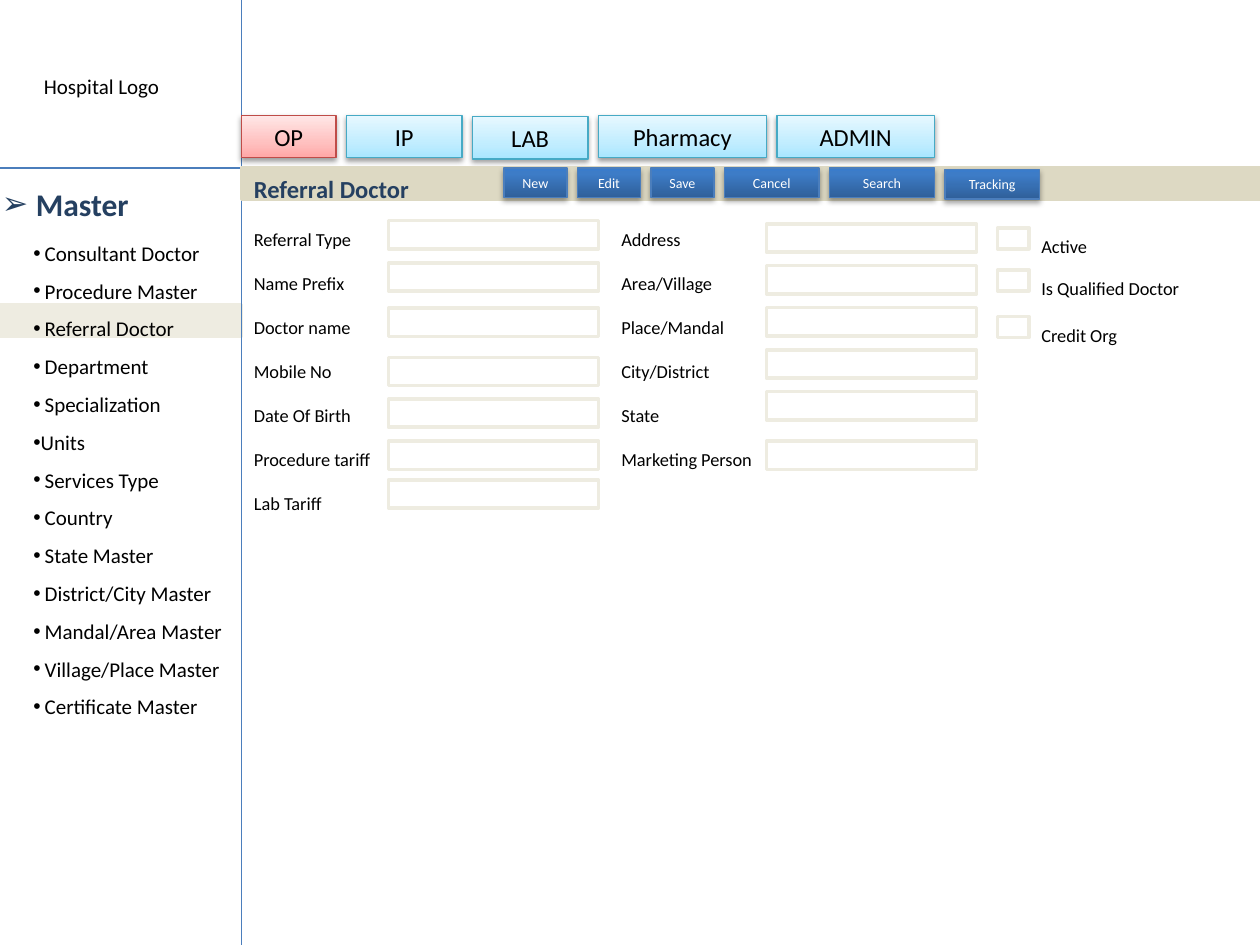
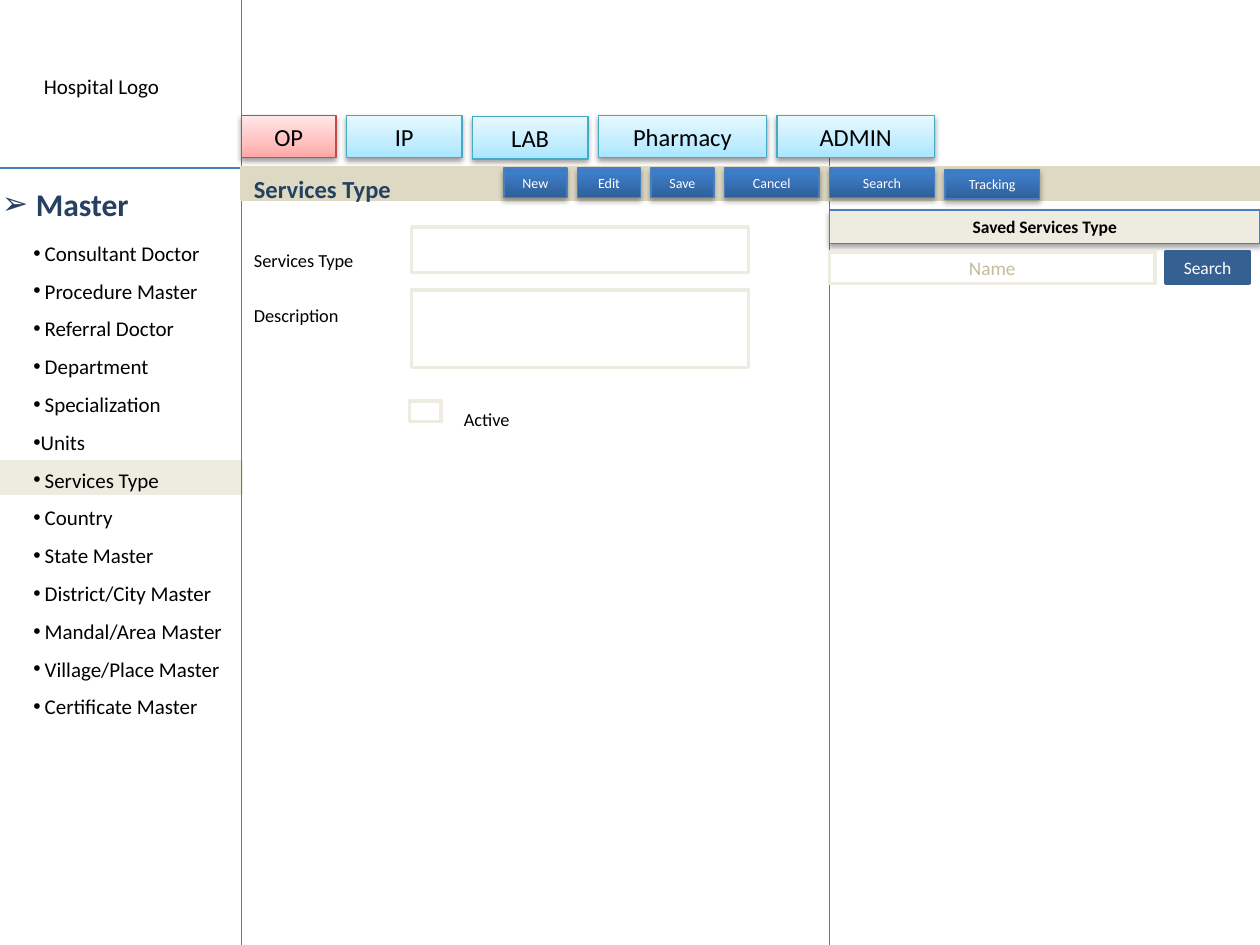
from dataclasses import dataclass
from lxml.etree import SubElement
from pptx import Presentation
from pptx.dml.color import RGBColor as RGB
from pptx.enum.shapes import MSO_CONNECTOR as Connector, MSO_SHAPE as Shape
from pptx.enum.text import MSO_ANCHOR as Anchor, MSO_AUTO_SIZE as AutoSize, PP_ALIGN as Align
from pptx.oxml.ns import qn
from pptx.util import Inches, Pt


@dataclass(frozen=True)
class Theme:
    font: str = "Calibri"
    black: str = "000000"
    white: str = "FFFFFF"
    navy: str = "254061"
    blue: str = "4B7EBC"
    deep_blue: str = "376092"
    cream: str = "EEECE1"
    sand: str = "DDD9C3"
    khaki: str = "C4BD97"
    red_edge: str = "BF4C48"
    aqua_edge: str = "46AAC5"
    red_blend: tuple = ((0, "FFA6A5"), (35, "FFC0BF"), (100, "FFE7E7"))
    aqua_blend: tuple = ((0, "A7E6FF"), (35, "C1EDFF"), (100, "E7F8FF"))
    blue_blend: tuple = ((0, "2F5F99"), (80, "3D7CC7"), (100, "3A7CCB"))
    tab_shadow: tuple = (38, 3.1, 1.6)
    button_shadow: tuple = (35, 3.1, 1.8)
    heading: float = 18
    title: float = 14
    menu: float = 12
    hint: float = 11
    label: float = 10.5
    panel: float = 10
    button: float = 8
    thin: float = 0.75
    thick: float = 2


theme = Theme()
deck = Presentation()
deck.slide_width, deck.slide_height = Inches(10), Inches(7.5)
COLUMNS, ROWS = 120, 90
CELL = deck.slide_width / COLUMNS
SIDEBAR, BAND_TOP, SPLIT = 23, 16, 79
MENU_TOP, MENU_STEP = 21.5, 3.75
FIELD_WIDTH, FIELD_HEIGHT = 20, 2.7


def add_block(page, area, fill=None, line=None, weight=theme.thick, shadow=None):
    place = [round(value * CELL) for value in area]
    if fill is None:
        return page.shapes.add_textbox(*place)
    block = page.shapes.add_shape(Shape.RECTANGLE, *place)
    block.shadow.inherit = False
    if isinstance(fill, str):
        block.fill.solid()
        block.fill.fore_color.rgb = RGB.from_string(fill)
    else:
        block.fill.gradient()
        block.fill.gradient_angle = 90
        stops = block.element.spPr.find(".//" + qn("a:gsLst"))
        for stop in list(stops):
            stops.remove(stop)
        for share, color in fill:
            stop = SubElement(stops, qn("a:gs"), pos=str(share * 1000))
            SubElement(stop, qn("a:srgbClr"), val=color)
    block.line.color.rgb = RGB.from_string(line)
    block.line.width = Pt(weight)
    if shadow:
        alpha, blur, distance = shadow
        effects = block.element.spPr.find(qn("a:effectLst"))
        outer = SubElement(effects, qn("a:outerShdw"), blurRad=str(Pt(blur)),
                           dist=str(Pt(distance)), dir="5400000", rotWithShape="0")
        tint = SubElement(outer, qn("a:srgbClr"), val=theme.black)
        SubElement(tint, qn("a:alpha"), val=str(alpha * 1000))
    return block


def write(box, lines, size, color=theme.black, bold=False, align=Align.LEFT,
          spacing=None, wrap=False, grow=True, bullet=None, hangs=()):
    frame = box.text_frame
    frame.text = "\n".join(lines)
    frame.word_wrap = wrap
    frame.auto_size = AutoSize.SHAPE_TO_FIT_TEXT if grow else AutoSize.NONE
    frame.vertical_anchor = Anchor.TOP if grow else Anchor.MIDDLE
    for index, para in enumerate(frame.paragraphs):
        para.alignment = align
        if spacing:
            para.line_spacing = spacing
        if bullet:
            layout = para._p.get_or_add_pPr()
            layout.set("marL", str(Inches(hangs[index])))
            layout.set("indent", str(-Inches(hangs[index])))
            SubElement(layout, qn("a:buFont"), typeface="Arial")
            SubElement(layout, qn("a:buChar"), char=bullet)
        for span in para.runs:
            span.font.name = theme.font
            span.font.size = Pt(size)
            span.font.bold = bold
            span.font.color.rgb = RGB.from_string(color)


menu = ["Consultant Doctor", "Procedure Master", "Referral Doctor", "Department",
        "Specialization", "Units", "Services Type", "Country", "State Master",
        "District/City Master", "Mandal/Area Master", "Village/Place Master",
        "Certificate Master"]
menu_hangs = [0 if entry == "Units" else 0.09 for entry in menu]
tabs = [("OP", 23, 11, 9), ("IP", 33, 11, 11), ("LAB", 45, 11.12, 11),
        ("Pharmacy", 57, 11, 16), ("ADMIN", 74, 11, 15)]
buttons = [("New", 48, 16, 6), ("Edit", 55, 16, 6), ("Save", 62, 16, 6),
           ("Cancel", 69, 16, 9), ("Search", 79, 16, 10), ("Tracking", 90, 16.12, 9)]

screens = [
    {
        "title": "Referral Doctor", "title_width": 17.3, "spacing": 2, "dividers": [],
        "labels": [
            (23, 19, 13.8, 30.8, ["Referral Type", "Name Prefix", "Doctor name", "Mobile No",
                                  "Date Of Birth", "Procedure tariff", "Lab Tariff"]),
            (58, 19, 15.1, 26.6, ["Address", "Area/Village", "Place/Mandal", "City/District",
                                  "State", "Marketing Person"])],
        "fields": [(left, top, FIELD_WIDTH, FIELD_HEIGHT)
                   for left, tops in ((37, (21, 25.04, 29.35, 34.04, 38, 42, 45.7)),
                                      (73, (21.33, 25.3, 29.3, 33.33, 37.3, 42)))
                   for top in tops],
        "checks": [("Active", 95, 98, 19.7, 6.8), ("Is Qualified Doctor", 95, 98, 23.7, 15.8),
                   ("Credit Org", 95, 98, 28.15, 9.8)],
    },
    {
        "title": "Services Type", "title_width": 15.6, "spacing": 2.5,
        "dividers": [(SPLIT, 15, SPLIT, ROWS)],
        "labels": [(23, 20, 12.1, 11.8, ["Services Type", "Description"])],
        "fields": [(39.2, 21.6, 32.1, 4.35), (39.2, 27.6, 32.1, 7.4)],
        "checks": [("Active", 39, 43, 36.17, 6.8)],
    },
]

for screen in screens:
    page = deck.slides.add_slide(deck.slide_layouts[6])
    highlight = MENU_TOP + MENU_STEP * menu.index(screen["title"])
    add_block(page, (0, highlight, SIDEBAR, 3), theme.cream, theme.cream)

    rules = [(0, BAND_TOP, COLUMNS, BAND_TOP), (SIDEBAR, 0, SIDEBAR, ROWS)]
    for ends in rules + screen["dividers"]:
        rule = page.shapes.add_connector(Connector.STRAIGHT,
                                         *[round(value * CELL) for value in ends])
        rule.line.color.rgb = RGB.from_string(theme.blue)
        rule.line.width = Pt(theme.thin)
        SubElement(rule.element.spPr, qn("a:effectLst"))

    write(add_block(page, (3, 6.4, 13.6, 3.6)), ["Hospital Logo"], theme.menu)
    for name, left, top, width in tabs:
        blend, edge = ((theme.red_blend, theme.red_edge) if name == "OP"
                       else (theme.aqua_blend, theme.aqua_edge))
        tab = add_block(page, (left, top, width, 4.04), blend, edge,
                        theme.thin, theme.tab_shadow)
        write(tab, [name], theme.title, align=Align.CENTER, wrap=True)

    write(add_block(page, (-1, 17, SIDEBAR, 4.8)), ["Master"], theme.heading, theme.navy,
          bold=True, wrap=True, bullet="➢", hangs=[0.27])
    write(add_block(page, (2, 21.1, 20.6, 48.5)), menu, theme.menu, spacing=1.5,
          bullet="•", hangs=menu_hangs)

    add_block(page, (SIDEBAR, BAND_TOP, COLUMNS - SIDEBAR, 3), theme.sand, theme.sand)
    write(add_block(page, (SIDEBAR, BAND_TOP, screen["title_width"], 4.04)),
          [screen["title"]], theme.title, theme.navy, bold=True)
    for name, left, top, width in buttons:
        button = add_block(page, (left, top, width, 2.83), theme.blue_blend, theme.blue,
                           theme.thin, theme.button_shadow)
        write(button, [name], theme.button, theme.white, align=Align.CENTER, wrap=True)

    for area in screen["fields"]:
        add_block(page, area, theme.white, theme.cream)
    for *area, names in screen["labels"]:
        write(add_block(page, area), names, theme.label, spacing=screen["spacing"])
    for name, box_left, label_left, top, width in screen["checks"]:
        write(add_block(page, (label_left, top, width, 4.8)), [name], theme.label, spacing=2)
        add_block(page, (box_left, top + 2, 3, 2), theme.white, theme.cream)

saved = add_block(page, (SPLIT, 20, COLUMNS - SPLIT, 3.23), theme.cream, theme.blue,
                  theme.thin, theme.button_shadow)
write(saved, ["Saved Services Type"], theme.panel, bold=True, align=Align.CENTER, wrap=True)
name_field = add_block(page, (SPLIT, 24, 31, 3), theme.white, theme.cream)
write(name_field, ["Name"], theme.hint, theme.khaki, align=Align.CENTER, wrap=True, grow=False)
search = add_block(page, (111, 24, 8, 3), theme.deep_blue, theme.deep_blue)
write(search, ["Search"], theme.panel, theme.white, align=Align.CENTER, wrap=True, grow=False)

deck.save("out.pptx")
